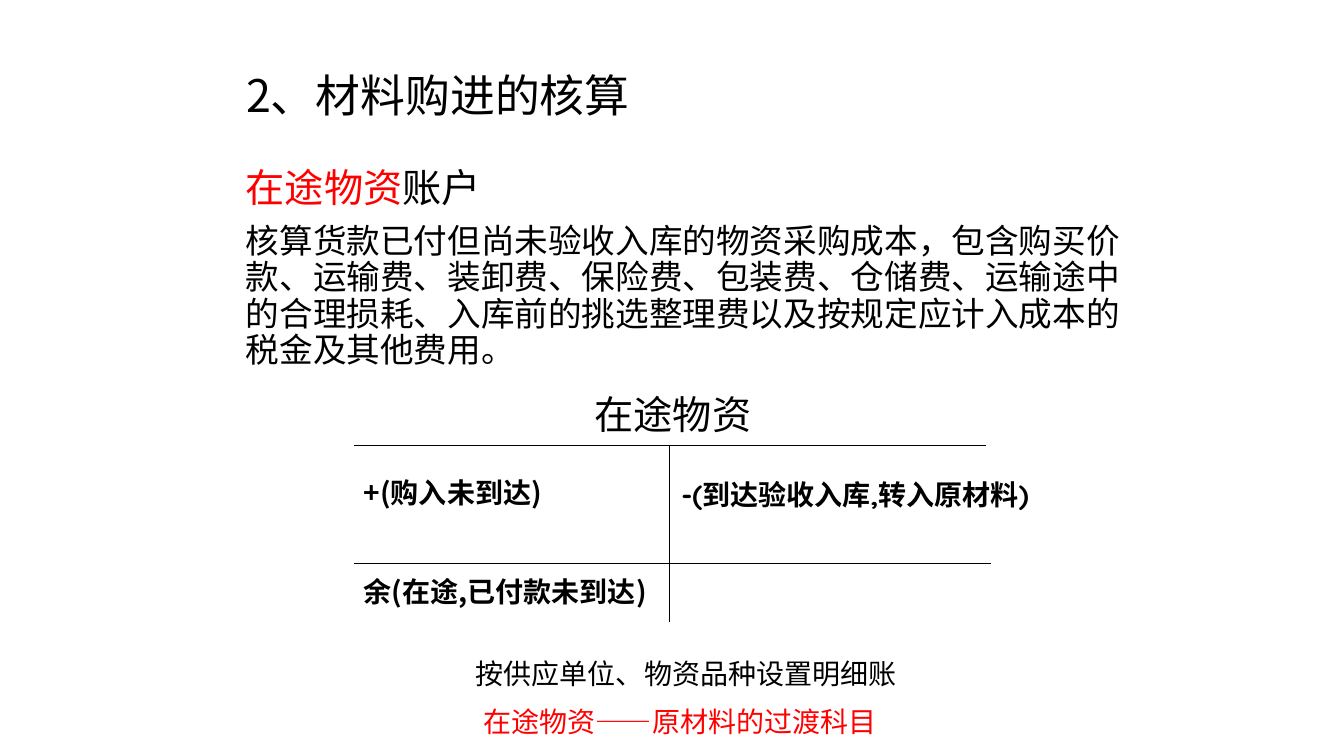
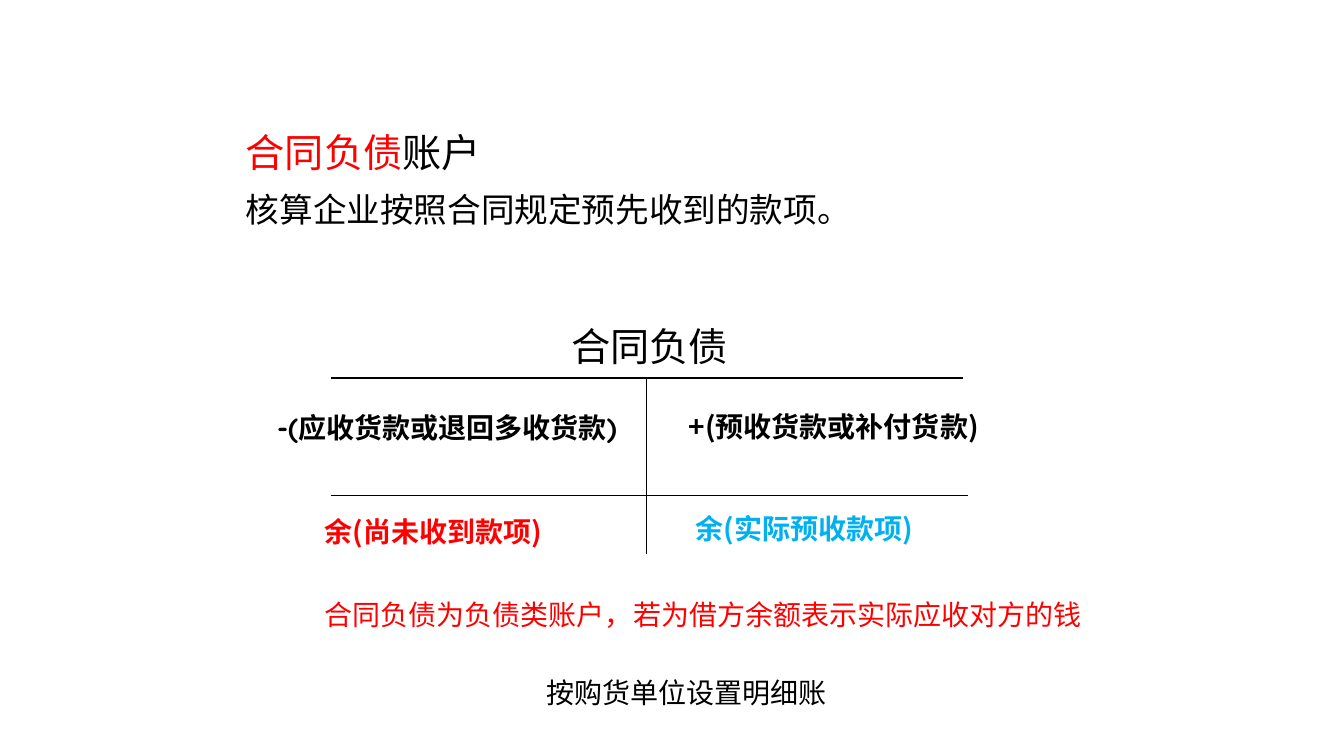
import pptx
import pptx.util
import pptx.dml.color
import pptx.enum.shapes
import pptx.enum.text
import pptx.oxml
import lxml.etree
from pptx.util import Inches

SANS = "Noto Sans CJK SC"
ROUND = "Quicksand"
BLACK, RED, BLUE = "000000", "FF0000", "00B0F0"
ALIGN = pptx.enum.text.PP_ALIGN
ANCHOR = pptx.enum.text.MSO_ANCHOR
FIT = pptx.enum.text.MSO_AUTO_SIZE


def paint(color, value):
    color.rgb = pptx.dml.color.RGBColor.from_string(value)


def apply(item, values):
    for name, value in values.items():
        setattr(item, name, value)


class Deck:
    def __init__(self):
        self.prs = pptx.Presentation()
        apply(self.prs, {"slide_width": Inches(13.33), "slide_height": Inches(7.5)})
        self.slide = None

    def page(self, title=None):
        layout = self.prs.slide_layouts[5 if title else 6]
        self.slide = self.prs.slides.add_slide(layout)
        if title:
            shape = self.slide.shapes.title
            apply(shape, {"left": Inches(2.34), "top": Inches(0.52),
                          "width": Inches(7.5), "height": Inches(0.9)})
            frame = shape.text_frame
            apply(frame, {"word_wrap": True, "auto_size": FIT.NONE,
                          "vertical_anchor": ANCHOR.MIDDLE})
            para = frame.paragraphs[0]
            apply(para, {"alignment": ALIGN.LEFT, "line_spacing": 0.9})
            self.run(para, title, 32)

    def run(self, para, text, size, color=BLACK, bold=False, face=SANS):
        run = para.add_run()
        run.text = text
        apply(run.font, {"size": pptx.util.Pt(size), "bold": bold, "name": face})
        paint(run.font.color, color)
        east = lxml.etree.SubElement(run.font._element, pptx.oxml.ns.qn("a:ea"))
        east.set("typeface", SANS)

    def box(self, left, top, width, height, fit=FIT.NONE):
        shape = self.slide.shapes.add_textbox(
            Inches(left), Inches(top), Inches(width), Inches(height))
        apply(shape.text_frame, {"word_wrap": True, "auto_size": fit})
        return shape.text_frame

    def label(self, text, left, top, width, size=20, **style):
        height = 0.57 if size > 20 else 0.44
        frame = self.box(left, top, width, height, FIT.SHAPE_TO_FIT_TEXT)
        self.run(frame.paragraphs[0], text, size, **style)

    def intro(self, name, text, top, height, space=1.0):
        frame = self.box(2.34, top, 9.06, height)
        head, body = frame.paragraphs[0], frame.add_paragraph()
        self.run(head, name, 28, RED)
        self.run(head, "账户", 28)
        self.run(body, text, 24)
        for para in (head, body):
            para.line_spacing = space
        body.space_before = pptx.util.Pt(10)

    def line(self, left, top, right, bottom):
        line = self.slide.shapes.add_connector(
            pptx.enum.shapes.MSO_CONNECTOR.STRAIGHT,
            Inches(left), Inches(top), Inches(right), Inches(bottom))
        line.line.width = pptx.util.Pt(0.75)
        paint(line.line.color, BLACK)
        lxml.etree.SubElement(line._element.spPr, pptx.oxml.ns.qn("a:effectLst"))

    def ledger(self, name, left, top):
        self.label(name, left + 2.29, top - 0.6, 2.44, 28)
        self.line(left, top, left + 6.27, top)
        self.line(left + 3.13, top, left + 3.13, top + 1.75)
        self.line(left, top + 1.17, left + 6.32, top + 1.17)


def main():
    deck = Deck()

    deck.page("2、材料购进的核算")
    deck.intro(
        "在途物资",
        "核算货款已付但尚未验收入库的物资采购成本，包含购买价款、运输费、装卸费、"
        "保险费、包装费、仓储费、运输途中的合理损耗、入库前的挑选整理费以及"
        "按规定应计入成本的税金及其他费用。",
        1.62, 2.6, 0.9)
    deck.ledger("在途物资", 3.51, 4.42)
    deck.label("+(购入未到达)", 3.51, 4.67, 2.38, bold=True)
    deck.label("-(到达验收入库,转入原材料)", 6.66, 4.69, 3.8, bold=True, face=ROUND)
    deck.label("余(在途,已付款未到达)", 3.51, 5.65, 3.15, bold=True)
    deck.label("按供应单位、物资品种设置明细账", 4.62, 6.46, 5.42)
    deck.label("在途物资——原材料的过渡科目", 4.7, 6.94, 5.42, color=RED)

    deck.page()
    deck.intro("合同负债", "核算企业按照合同规定预先收到的款项。", 1.22, 1.82)
    deck.ledger("合同负债", 3.28, 3.75)
    deck.label("-(应收货款或退回多收货款)", 2.65, 4.02, 3.8, bold=True, face=ROUND)
    deck.label("+(预收货款或补付货款)", 6.73, 4.01, 3.22, bold=True)
    deck.label("余(尚未收到款项)", 3.12, 5.06, 3.15, color=RED, bold=True)
    deck.label("余(实际预收款项)", 6.8, 5.03, 3.15, color=BLUE, bold=True)
    deck.label("合同负债为负债类账户，若为借方余额表示实际应收对方的钱",
               3.12, 5.88, 8.16, color=RED)
    deck.label("按购货单位设置明细账", 5.32, 6.65, 6.11)

    deck.prs.save("out.pptx")


if __name__ == "__main__":
    main()
